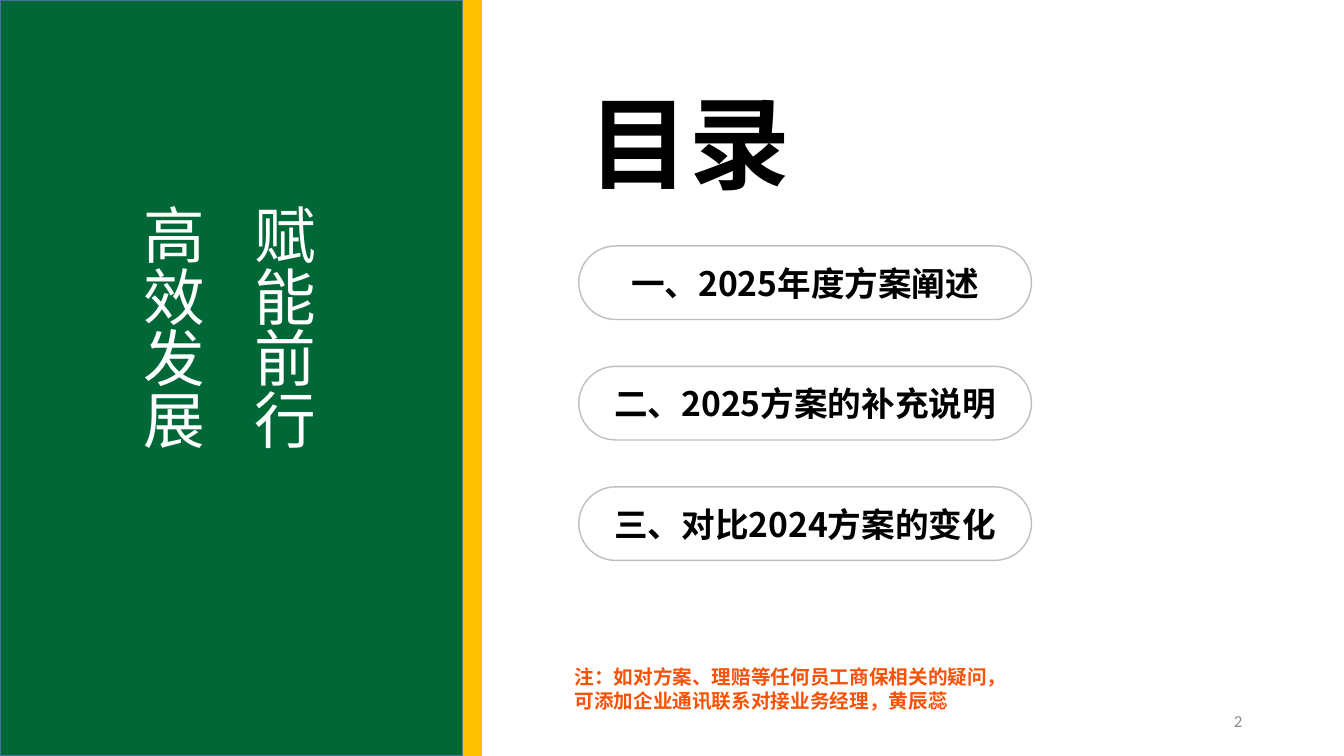
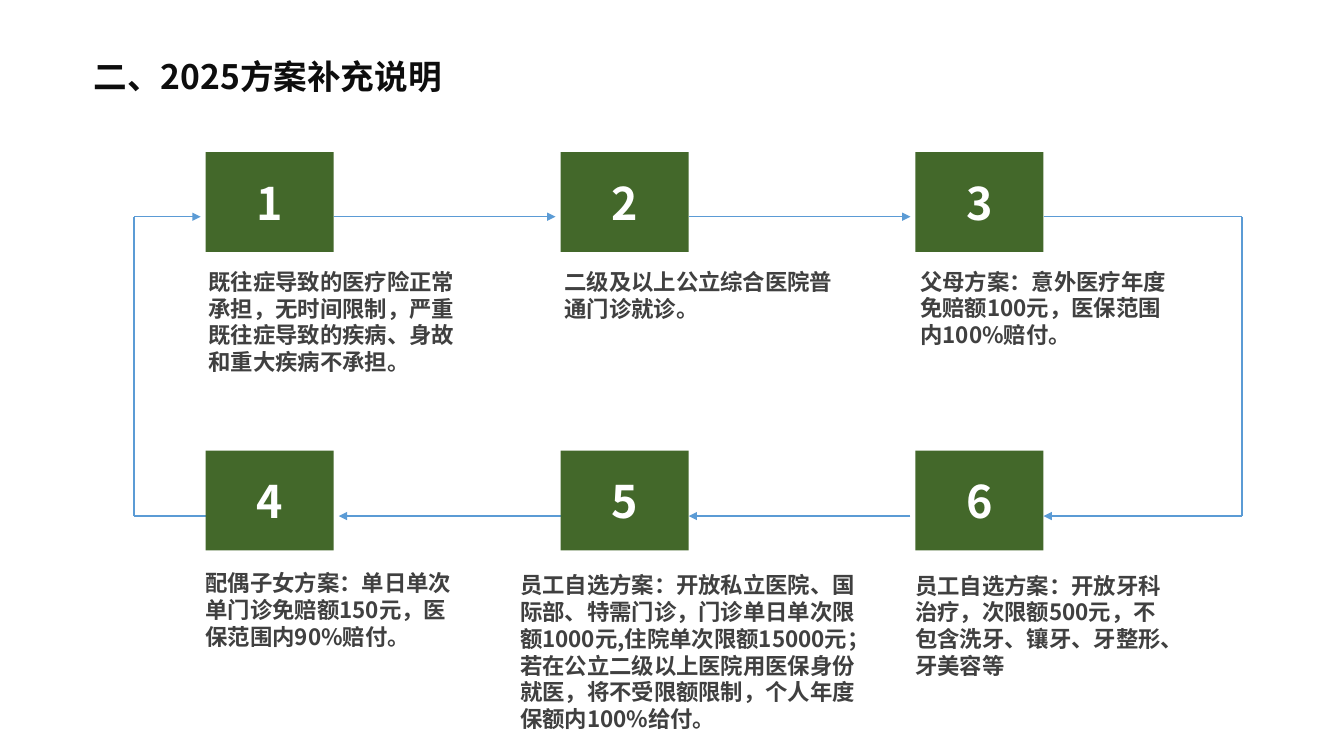
from dataclasses import dataclass
from typing import Any, Optional

from pptx import Presentation
from pptx.dml.color import RGBColor
from pptx.enum.shapes import MSO_CONNECTOR as Connector, MSO_SHAPE as Preset
from pptx.enum.text import MSO_ANCHOR as Anchor, MSO_AUTO_SIZE as AutoSize, PP_ALIGN as Align
from pptx.oxml.ns import qn
from pptx.oxml.xmlchemy import OxmlElement
from pptx.util import Inches, Pt

BLACK = RGBColor(0x00, 0x00, 0x00)
NEAR_BLACK = RGBColor(0x0D, 0x0D, 0x0D)
WHITE = RGBColor(0xFF, 0xFF, 0xFF)
DARK_GREY = RGBColor(0x40, 0x40, 0x40)
MID_GREY = RGBColor(0x8C, 0x8C, 0x8C)
LIGHT_GREY = RGBColor(0xBF, 0xBF, 0xBF)
PANEL_GREEN = RGBColor(0x00, 0x68, 0x37)
PANEL_LINE = RGBColor(0x43, 0x73, 0x9E)
STEP_GREEN = RGBColor(0x43, 0x68, 0x2A)
GOLD = RGBColor(0xFF, 0xC0, 0x00)
ORANGE = RGBColor(0xF8, 0x52, 0x08)
FLOW_BLUE = RGBColor(0x5B, 0x9B, 0xD5)

CJK_FONT = "Noto Sans CJK SC"
TITLE_ONLY = 5


@dataclass(frozen=True)
class Box:
    left: float
    top: float
    width: float
    height: float

    def lengths(self) -> list[int]:
        return [Inches(value) for value in (self.left, self.top, self.width, self.height)]


@dataclass(frozen=True)
class TextStyle:
    size: int
    color: RGBColor
    bold: bool = True
    font: str = CJK_FONT
    align: Align = Align.LEFT
    anchor: Anchor = Anchor.TOP
    spacing: float = 1.0


@dataclass(frozen=True)
class Step:
    column: int
    row: int
    caption: Box
    text: str


@dataclass(frozen=True)
class Segment:
    start: tuple[float, float]
    end: tuple[float, float]
    arrow: bool = False


COVER_TITLE = TextStyle(72, BLACK, spacing=0.9)
SECTION_TITLE = TextStyle(24, NEAR_BLACK, align=Align.CENTER, anchor=Anchor.MIDDLE)
AGENDA = TextStyle(24, BLACK, align=Align.CENTER, anchor=Anchor.MIDDLE)
SLOGAN = TextStyle(44, WHITE, bold=False, spacing=1.5)
NOTE = TextStyle(14, ORANGE)
PAGE_NUMBER = TextStyle(12, MID_GREY, False, "Calibri", Align.RIGHT, Anchor.MIDDLE)
STEP_NUMBER = TextStyle(32, WHITE, align=Align.CENTER, anchor=Anchor.MIDDLE)
CAPTION = TextStyle(16, DARK_GREY, anchor=Anchor.MIDDLE)

AGENDA_ITEMS = ["一、2025年度方案阐述", "二、2025方案的补充说明", "三、对比2024方案的变化"]
AGENDA_TOP, AGENDA_PITCH = 2.44, 1.195

STEP_LEFT, STEP_TOP = 2.04, 1.51
STEP_WIDTH, STEP_HEIGHT = 1.27, 0.99
COLUMN_PITCH, ROW_PITCH = 3.52, 2.96
ARROW_GAP = 0.05
FLOW_TOP, FLOW_BOTTOM = 2.15, 5.12
LOOP_LEFT, LOOP_RIGHT = 1.33, 12.32

STEPS = [
    Step(0, 0, Box(1.97, 2.59, 2.74, 1.2),
         "既往症导致的医疗险正常承担，无时间限制，严重既往症导致的疾病、身故和重大疾病不承担。"),
    Step(1, 0, Box(5.5, 2.75, 2.87, 0.35), "二级及以上公立综合医院普通门诊就诊。"),
    Step(2, 0, Box(9.03, 2.88, 2.74, 0.35),
         "父母方案：意外医疗年度免赔额100元，医保范围内100%赔付。"),
    Step(0, 1, Box(1.94, 5.87, 2.74, 0.35),
         "配偶子女方案：单日单次单门诊免赔额150元，医保范围内90%赔付。"),
    Step(1, 1, Box(5.06, 6.29, 3.59, 0.35),
         "员工自选方案：开放私立医院、国际部、特需门诊，门诊单日单次限额1000元,"
         "住院单次限额15000元；若在公立二级以上医院用医保身份就医，将不受限额限制，"
         "个人年度保额内100%给付。"),
    Step(2, 1, Box(8.98, 6.03, 2.74, 0.35),
         "员工自选方案：开放牙科治疗，次限额500元，不包含洗牙、镶牙、牙整形、牙美容等"),
]


def write_text(shape: Any, lines: list[str], style: TextStyle) -> None:
    frame = shape.text_frame
    frame_format = {"word_wrap": True, "auto_size": AutoSize.NONE, "vertical_anchor": style.anchor}
    for name, value in frame_format.items():
        setattr(frame, name, value)
    font_format = {"name": style.font, "size": Pt(style.size), "bold": style.bold}
    for index, line in enumerate(lines):
        paragraph = frame.add_paragraph() if index else frame.paragraphs[0]
        paragraph.alignment = style.align
        paragraph.line_spacing = style.spacing
        paragraph.space_before = Pt(0)
        run = paragraph.add_run()
        run.text = line
        for name, value in font_format.items():
            setattr(run.font, name, value)
        run.font.color.rgb = style.color
        east_asian = OxmlElement("a:ea")
        east_asian.set("typeface", style.font)
        run._r.rPr.find(qn("a:latin")).addnext(east_asian)


def add_title(slide: Any, box: Box, text: str, style: TextStyle) -> None:
    title = slide.shapes.title
    title.left, title.top, title.width, title.height = box.lengths()
    write_text(title, [text], style)


def add_text(slide: Any, box: Box, lines: list[str], style: TextStyle) -> Any:
    text_box = slide.shapes.add_textbox(*box.lengths())
    write_text(text_box, lines, style)
    return text_box


def add_panel(slide: Any, preset: Preset, box: Box, fill: RGBColor,
              line: Optional[RGBColor] = None) -> Any:
    shape = slide.shapes.add_shape(preset, *box.lengths())
    shape.shadow.inherit = False
    shape.fill.solid()
    shape.fill.fore_color.rgb = fill
    if line is None:
        shape.line.fill.background()
    else:
        shape.line.color.rgb = line
        shape.line.width = Pt(1)
    return shape


def add_page_number(slide: Any, box: Box, number: int) -> None:
    """Turn the written number into a live slide-number field."""
    text_box = add_text(slide, box, [str(number)], PAGE_NUMBER)
    run = text_box.text_frame.paragraphs[0].runs[0]._r
    field = OxmlElement("a:fld")
    field.set("id", "{B6F15528-21DE-4FAA-801E-634DDDAF4B2B}")
    field.set("type", "slidenum")
    run.addprevious(field)
    field.extend(list(run))
    run.getparent().remove(run)


def add_segment(slide: Any, segment: Segment) -> None:
    ends = [Inches(value) for value in (*segment.start, *segment.end)]
    connector = slide.shapes.add_connector(Connector.STRAIGHT, *ends)
    connector.line.color.rgb = FLOW_BLUE
    connector.line.width = Pt(1)
    if segment.arrow:
        arrowhead = OxmlElement("a:tailEnd")
        arrowhead.set("type", "triangle")
        connector.line._get_or_add_ln().append(arrowhead)
    connector._element.spPr.append(OxmlElement("a:effectLst"))


def flow_segments() -> list[Segment]:
    """Run right along the top row, down, left along the bottom row and up."""
    lefts = [STEP_LEFT + column * COLUMN_PITCH for column in range(3)]
    rights = [left + STEP_WIDTH for left in lefts]
    top_row = [Segment((rights[i], FLOW_TOP), (lefts[i + 1] - ARROW_GAP, FLOW_TOP), True)
               for i in range(2)]
    return top_row + [
        Segment((rights[2], FLOW_TOP), (LOOP_RIGHT, FLOW_TOP)),
        Segment((LOOP_RIGHT, FLOW_TOP), (LOOP_RIGHT, FLOW_BOTTOM)),
        Segment((LOOP_RIGHT, FLOW_BOTTOM), (rights[2], FLOW_BOTTOM), True),
        Segment((lefts[2] - ARROW_GAP, FLOW_BOTTOM), (rights[1], FLOW_BOTTOM), True),
        Segment((lefts[1], FLOW_BOTTOM), (rights[0] + ARROW_GAP, FLOW_BOTTOM), True),
        Segment((lefts[0], FLOW_BOTTOM), (LOOP_LEFT, FLOW_BOTTOM)),
        Segment((LOOP_LEFT, FLOW_BOTTOM), (LOOP_LEFT, FLOW_TOP)),
        Segment((LOOP_LEFT, FLOW_TOP), (lefts[0] - ARROW_GAP, FLOW_TOP), True),
    ]


def add_step(slide: Any, number: int, step: Step) -> None:
    box = Box(STEP_LEFT + step.column * COLUMN_PITCH, STEP_TOP + step.row * ROW_PITCH,
              STEP_WIDTH, STEP_HEIGHT)
    square = add_panel(slide, Preset.RECTANGLE, box, STEP_GREEN)
    for side in ("left", "top", "right", "bottom"):
        setattr(square.text_frame, f"margin_{side}", Inches(0.06))
    write_text(square, [str(number)], STEP_NUMBER)
    add_text(slide, step.caption, [step.text], CAPTION)


def build_agenda(slide: Any) -> None:
    add_panel(slide, Preset.RECTANGLE, Box(0, 0, 4.59, 7.5), PANEL_GREEN, PANEL_LINE)
    add_panel(slide, Preset.RECTANGLE, Box(4.59, 0, 0.19, 7.5), GOLD)
    add_title(slide, Box(5.74, 0.89, 4.81, 1.12), "目录", COVER_TITLE)
    for index, item in enumerate(AGENDA_ITEMS):
        box = Box(5.74, AGENDA_TOP + index * AGENDA_PITCH, 4.49, 0.73)
        pill = add_panel(slide, Preset.ROUNDED_RECTANGLE, box, WHITE, LIGHT_GREY)
        pill.adjustments[0] = 0.5
        write_text(pill, [item], AGENDA)
    add_page_number(slide, Box(9.42, 6.95, 3, 0.4), 2)
    slogan = add_text(slide, Box(0.88, 1.93, 2.71, 2.99), ["赋能前行", "高效发展"], SLOGAN)
    slogan.text_frame._txBody.bodyPr.set("vert", "eaVert")
    add_text(slide, Box(5.6, 6.55, 4.44, 0.57),
             ["注：如对方案、理赔等任何员工商保相关的疑问，可添加企业通讯联系对接业务经理，黄辰蕊"], NOTE)


def build_supplement(slide: Any) -> None:
    add_title(slide, Box(0.47, 0.5, 4.37, 0.5), "二、2025方案补充说明", SECTION_TITLE)
    for segment in flow_segments():
        add_segment(slide, segment)
    for number, step in enumerate(STEPS, start=1):
        add_step(slide, number, step)


def main() -> None:
    presentation = Presentation()
    presentation.slide_width = Inches(13.33)
    presentation.slide_height = Inches(7.5)
    presentation.element.set("firstSlideNum", "2")
    for build in (build_agenda, build_supplement):
        build(presentation.slides.add_slide(presentation.slide_layouts[TITLE_ONLY]))
    presentation.save("out.pptx")


if __name__ == "__main__":
    main()
